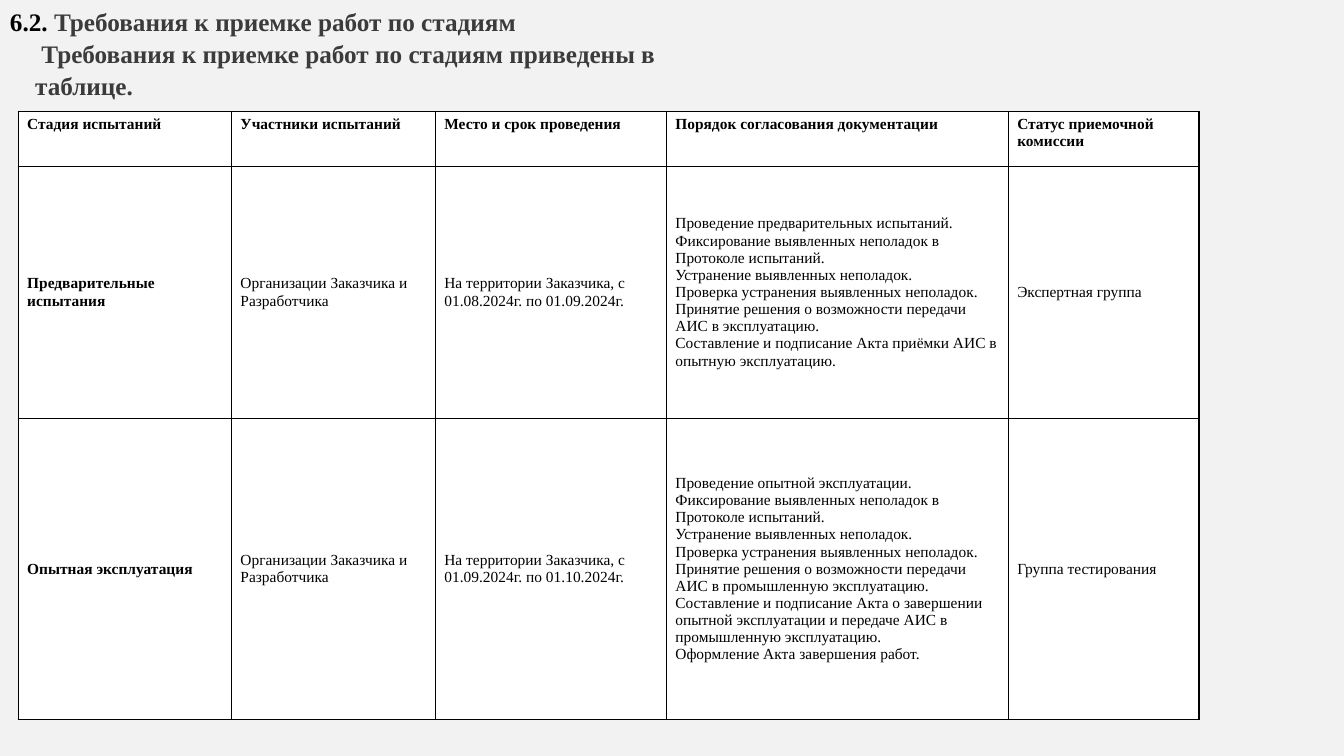
from lxml import etree
from pptx import Presentation, util as u
from pptx.dml.color import RGBColor
from pptx.enum import text
from pptx.oxml.ns import qn


def rgb(code):
    return RGBColor.from_string(code)


class Page:
    """Holds the style and the slide; lengths are percent of the slide's size."""
    font, ink, grey, paper, back = "Times New Roman", "000000", "3B3B3B", "FFFFFF", "F2F2F2"

    def __init__(self, deck):
        self.deck = deck
        self.slide = deck.slides.add_slide(deck.slide_layouts[6])
        fill = self.slide.background.fill
        fill.solid()
        fill.fore_color.rgb = rgb(self.back)

    def x(self, share):
        return u.Emu(round(self.deck.slide_width * share / 100))

    def y(self, share):
        return u.Emu(round(self.deck.slide_height * share / 100))

    def run(self, para, words, size, color, bold):
        """Add words to a paragraph, with a line break between lines."""
        for i, line in enumerate(words.split("\n")):
            if i:
                para.add_line_break()
            run = para.add_run()
            run.text = line
            font = run.font
            font.name, font.size, font.bold = self.font, u.Pt(size), bold
            font.color.rgb = rgb(color)

    def title(self, left, top, width, height, parts):
        box = self.slide.shapes.add_textbox(
            self.x(left), self.y(top), self.x(width), self.y(height))
        box.text_frame.word_wrap = True
        para = box.text_frame.paragraphs[0]
        para.line_spacing = 1.05
        props = para._p.get_or_add_pPr()
        props.set("marL", str(u.Inches(0.25)))
        props.set("indent", str(u.Inches(-0.25)))
        for words, color in parts:
            self.run(para, words, 18, color, True)

    def border(self, cell):
        props = cell._tc.get_or_add_tcPr()
        for i, side in enumerate(("lnL", "lnR", "lnT", "lnB")):
            line = etree.Element(qn("a:" + side), w=str(u.Pt(1)))
            fill = etree.SubElement(line, qn("a:solidFill"))
            etree.SubElement(fill, qn("a:srgbClr"), val=self.ink)
            props.insert(i, line)

    def cell(self, cell, words, head, bold):
        cell.margin_left = cell.margin_right = u.Inches(0.09)
        cell.margin_top = cell.margin_bottom = u.Inches(0.04)
        anchor = text.MSO_ANCHOR
        cell.vertical_anchor = anchor.TOP if head else anchor.MIDDLE
        cell.fill.solid()
        cell.fill.fore_color.rgb = rgb(self.paper)
        self.border(cell)
        self.run(cell.text_frame.paragraphs[0], words, 11, self.ink, bold)

    def table(self, left, top, cols, rows, data):
        """Draw a table whose first row and first column are bold."""
        grid = self.slide.shapes.add_table(
            len(rows), len(cols), self.x(left), self.y(top),
            self.x(sum(cols)), self.y(sum(rows))).table
        for col, width in zip(grid.columns, cols):
            col.width = self.x(width)
        for r, (row, height) in enumerate(zip(grid.rows, rows)):
            row.height = self.y(height)
            for c, words in enumerate(data[r]):
                self.cell(grid.cell(r, c), words, r == 0, r == 0 or c == 0)


TEAM = "Организации Заказчика и Разработчика"
PLACE = "На территории Заказчика, с "
FIXES = """Фиксирование выявленных неполадок в Протоколе испытаний.
Устранение выявленных неполадок.
Проверка устранения выявленных неполадок.
Принятие решения о возможности передачи АИС в """
TRIAL = f"""Проведение предварительных испытаний.
{FIXES}эксплуатацию.
Составление и подписание Акта приёмки АИС в опытную эксплуатацию."""
PILOT = f"""Проведение опытной эксплуатации.
{FIXES}промышленную эксплуатацию.
Составление и подписание Акта о завершении опытной эксплуатации и передаче АИС в промышленную эксплуатацию.
Оформление Акта завершения работ."""
STAGES = [
    ["Стадия испытаний", "Участники испытаний", "Место и срок проведения",
     "Порядок согласования документации", "Статус приемочной комиссии"],
    ["Предварительные испытания", TEAM, PLACE + "01.08.2024г. по 01.09.2024г.",
     TRIAL, "Экспертная группа"],
    ["Опытная эксплуатация", TEAM, PLACE + "01.09.2024г. по 01.10.2024г.",
     PILOT, "Группа тестирования"],
]
TITLE = ("Требования к приемке работ по стадиям\n"
         " Требования к приемке работ по стадиям приведены в таблице.")


def main():
    deck = Presentation()
    deck.slide_width, deck.slide_height = u.Inches(13.33), u.Inches(7.5)
    page = Page(deck)
    page.title(0, 0, 50, 14, [("6.2. ", page.ink), (TITLE, page.grey)])
    page.table(1.35, 14.8, [15.87, 15.17, 17.19, 25.44, 14.2],
               [7.2, 33.33, 39.87], STAGES)
    deck.save("out.pptx")


if __name__ == "__main__":
    main()
